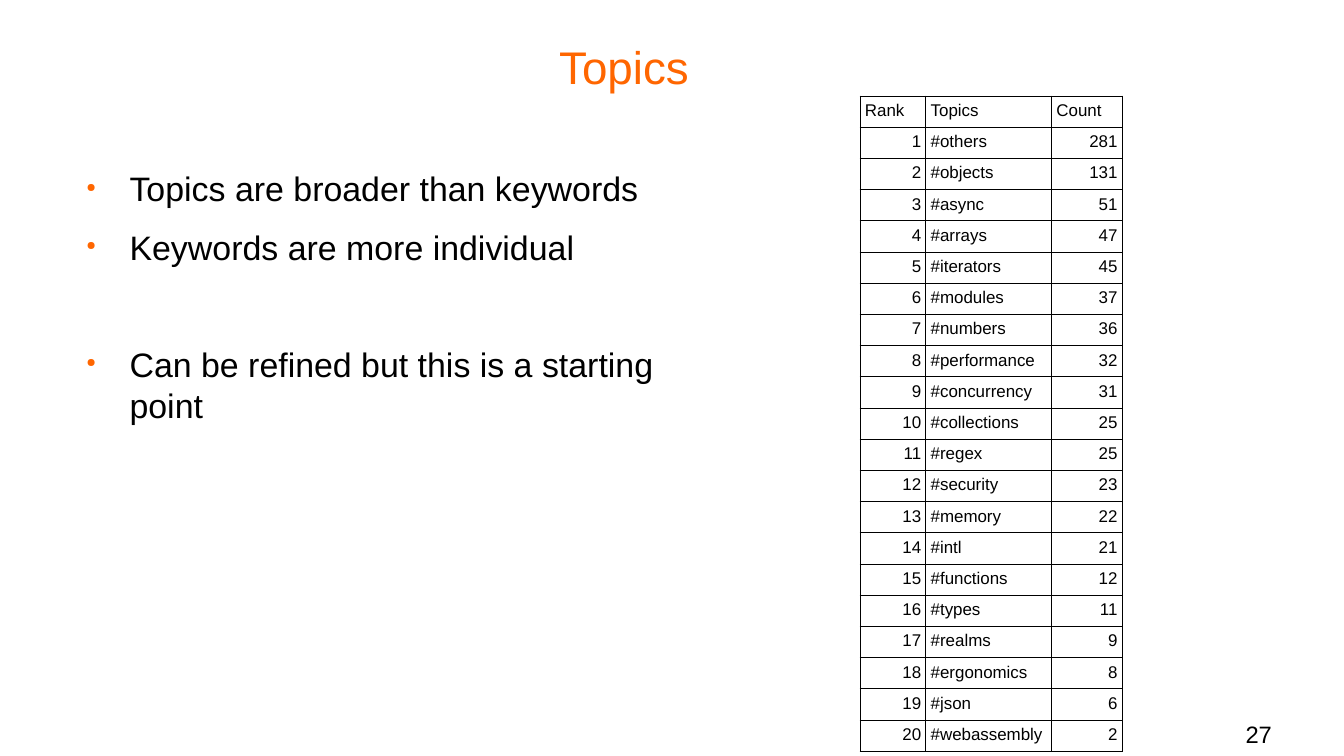
from dataclasses import dataclass

from lxml.etree import SubElement
from pptx import Presentation
from pptx.dml.color import RGBColor
from pptx.enum.text import MSO_ANCHOR, PP_ALIGN
from pptx.oxml.ns import qn
from pptx.util import Cm, Pt


@dataclass(frozen=True)
class Theme:
    font: str = "Arial"
    accent: str = "FF6600"
    ink: str = "000000"
    title: float = 27
    body: float = 20
    table: float = 10
    number: float = 14
    border: float = 0.57


THEME = Theme()
BULLETS = [  # text, space before in points
    ("Topics are broader than keywords", 0),
    ("Keywords are more individual", 10.6),
    ("Can be refined but this is a starting point", 45.1),
]
HEADINGS = ("Rank", "Topics", "Count")
TOPIC_COUNTS = [
    ("#others", 281), ("#objects", 131), ("#async", 51), ("#arrays", 47),
    ("#iterators", 45), ("#modules", 37), ("#numbers", 36),
    ("#performance", 32), ("#concurrency", 31), ("#collections", 25),
    ("#regex", 25), ("#security", 23), ("#memory", 22), ("#intl", 21),
    ("#functions", 12), ("#types", 11), ("#realms", 9), ("#ergonomics", 8),
    ("#json", 6), ("#webassembly", 2),
]
COLUMN_WIDTHS = (1.37, 2.62, 1.47)
ROW_HEIGHT = 0.65


def set_all(target, values):
    for name, value in values.items():
        setattr(target, name, value)


def style_font(font, size, color):
    set_all(font, {"name": THEME.font, "size": Pt(size), "bold": False})
    font.color.rgb = RGBColor.from_string(color)


def add_text_frame(page, box, anchor=MSO_ANCHOR.TOP):
    frame = page.shapes.add_textbox(*(Cm(length) for length in box)).text_frame
    set_all(frame, {
        "word_wrap": True, "vertical_anchor": anchor,
        "margin_left": 0, "margin_right": 0, "margin_top": 0, "margin_bottom": 0,
    })
    return frame


def add_line(page, box, text, size, color, align, anchor=MSO_ANCHOR.TOP):
    """Add a box that holds one line of text."""
    para = add_text_frame(page, box, anchor).paragraphs[0]
    set_all(para, {"text": text, "alignment": align})
    style_font(para.runs[0].font, size, color)


def add_bullet(para):
    properties = para._p.get_or_add_pPr()
    properties.set("marL", str(Cm(1.2)))
    properties.set("indent", str(-Cm(0.9)))
    color = SubElement(properties, qn("a:buClr"))
    SubElement(color, qn("a:srgbClr"), val=THEME.accent)
    SubElement(properties, qn("a:buSzPct"), val="36000")
    SubElement(properties, qn("a:buChar"), char="●")


def add_bullets(page, box):
    frame = add_text_frame(page, box)
    for index, (text, gap) in enumerate(BULLETS):
        para = frame.add_paragraph() if index else frame.paragraphs[0]
        add_bullet(para)
        set_all(para, {"text": text, "space_before": Pt(gap)})
        style_font(para.runs[0].font, THEME.body, THEME.ink)


def add_borders(cell):
    properties = cell._tc.get_or_add_tcPr()
    for index, side in enumerate(("a:lnL", "a:lnR", "a:lnT", "a:lnB")):
        line = properties.makeelement(qn(side), {"w": str(Pt(THEME.border))})
        fill = SubElement(line, qn("a:solidFill"))
        SubElement(fill, qn("a:srgbClr"), val=THEME.ink)
        properties.insert(index, line)


def fill_cell(cell, value):
    set_all(cell, {
        "text": str(value), "vertical_anchor": MSO_ANCHOR.TOP,
        "margin_left": Cm(0.1), "margin_right": Cm(0.1),
        "margin_top": Cm(0.11), "margin_bottom": Cm(0.1),
    })
    para = cell.text_frame.paragraphs[0]
    para.alignment = PP_ALIGN.RIGHT if isinstance(value, int) else PP_ALIGN.LEFT
    style_font(para.runs[0].font, THEME.table, THEME.ink)
    cell.fill.background()
    add_borders(cell)


def add_topic_table(page, left, top):
    ranked = [(rank, *topic) for rank, topic in enumerate(TOPIC_COUNTS, 1)]
    records = [HEADINGS, *ranked]
    table = page.shapes.add_table(
        len(records), len(HEADINGS), Cm(left), Cm(top),
        Cm(sum(COLUMN_WIDTHS)), Cm(ROW_HEIGHT * len(records))).table
    set_all(table, {"first_row": False, "horz_banding": False})
    for column, width in zip(table.columns, COLUMN_WIDTHS):
        column.width = Cm(width)
    for row, record in zip(table.rows, records):
        row.height = Cm(ROW_HEIGHT)
        for cell, value in zip(row.cells, record):
            fill_cell(cell, value)


def add_topics_slide(deck):
    page = deck.slides.add_slide(deck.slide_layouts[6])
    add_line(page, (1.5, 0.5, 23, 1.75), "Topics", THEME.title, THEME.accent,
             PP_ALIGN.CENTER, MSO_ANCHOR.MIDDLE)
    add_bullets(page, (1.5, 3.5, 12.2, 11))
    add_topic_table(page, 17.92, 2)
    add_line(page, (20, 15, 6.5, 0.75), "27", THEME.number, THEME.ink, PP_ALIGN.RIGHT)


def main():
    deck = Presentation()
    set_all(deck, {"slide_width": Cm(28), "slide_height": Cm(15.75)})
    add_topics_slide(deck)
    deck.save("out.pptx")


if __name__ == "__main__":
    main()
